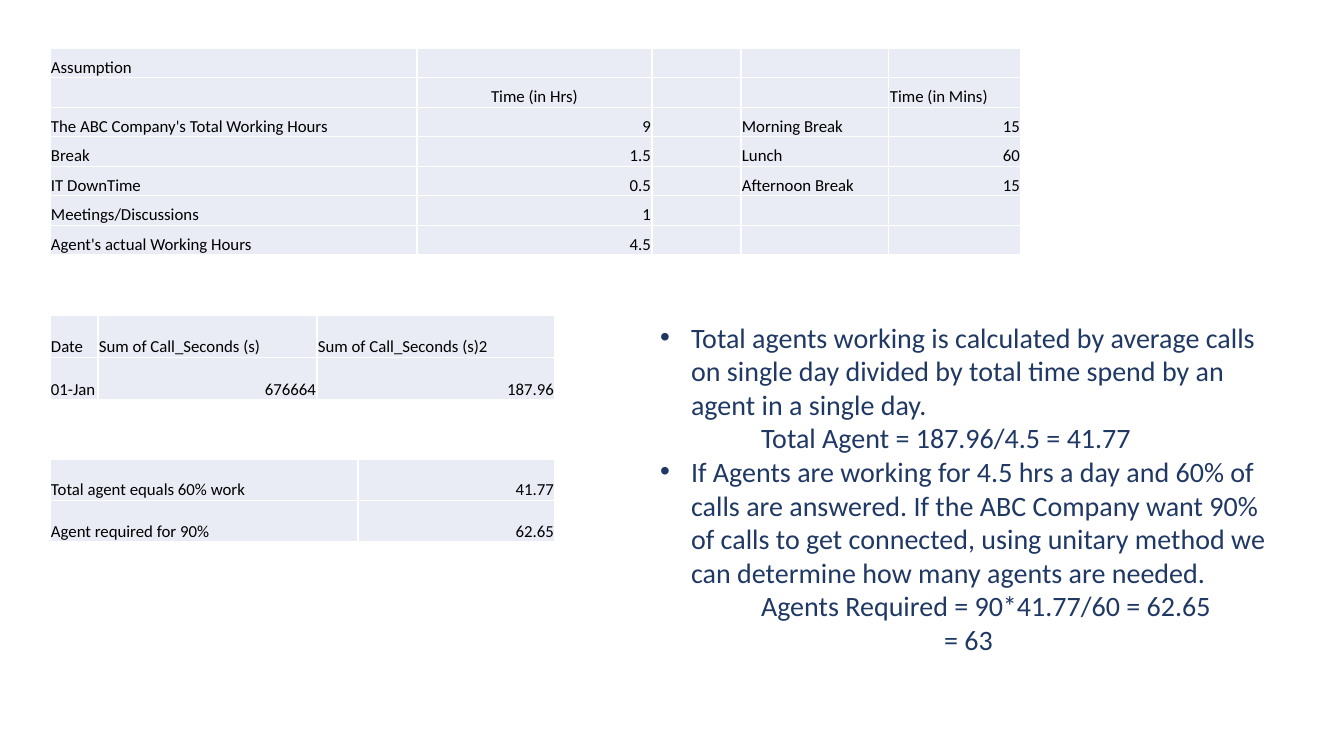
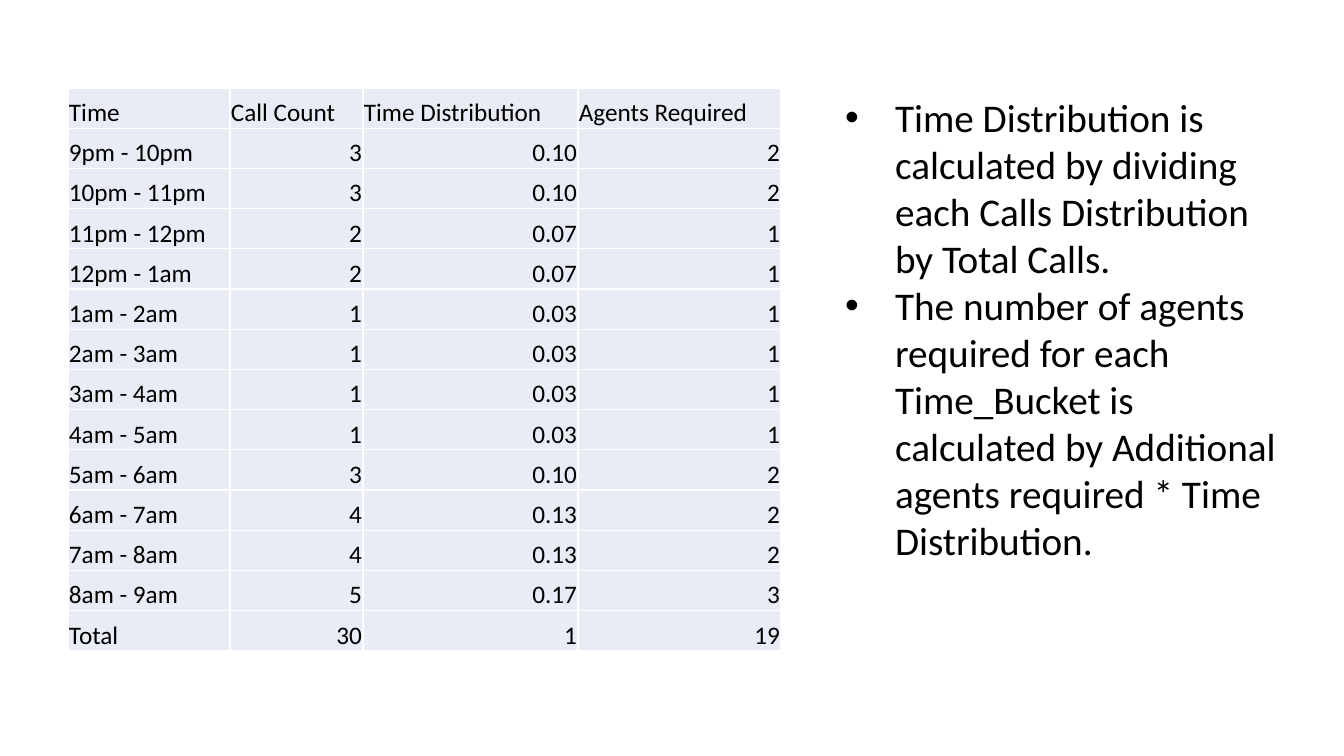
"""Build two slides on agent staffing."""
from itertools import pairwise

from lxml import etree
from pptx import Presentation
from pptx.dml.color import RGBColor
from pptx.enum import text
from pptx.oxml import ns
from pptx.util import Emu, Pt

SCALE = 914400 / 100.8
BLACK = RGBColor(0x00, 0x00, 0x00)
NAVY = RGBColor(0x20, 0x38, 0x64)
PALE = RGBColor(0xE9, 0xEB, 0xF5)
FONT = "Calibri"
LEFT, MID, RIGHT = text.PP_ALIGN.LEFT, text.PP_ALIGN.CENTER, text.PP_ALIGN.RIGHT


def px(num):
    """Turn pixels into EMU."""
    return Emu(round(num * SCALE))


def put(item, vals):
    """Set each attribute in vals on item."""
    for key, val in vals.items():
        setattr(item, key, val)


class Deck:
    """Hold the style and the current slide."""

    CELL = {"margin_left": px(1), "margin_right": px(1), "margin_top": px(1),
            "margin_bottom": 0, "vertical_anchor": text.MSO_ANCHOR.BOTTOM}
    GRID = {"first_row": False, "horz_banding": False}
    FRAME = {"word_wrap": True, "auto_size": text.MSO_AUTO_SIZE.NONE,
             "vertical_anchor": text.MSO_ANCHOR.TOP}
    PARA = {"space_before": Pt(0), "space_after": Pt(0), "line_spacing": 1.0,
            "alignment": LEFT}

    def __init__(self):
        """Start a wide deck."""
        self.prs = Presentation()
        put(self.prs, {"slide_width": px(1344), "slide_height": px(756)})
        self.slide = None

    def page(self):
        """Add a slide that has a body but no title."""
        self.slide = self.prs.slides.add_slide(self.prs.slide_layouts[1])
        title = self.slide.shapes.title.element
        title.getparent().remove(title)

    def say(self, para, words, size, color):
        """Add one styled run to a paragraph."""
        run = para.add_run()
        run.text = words
        put(run.font, {"name": FONT, "size": Pt(size)})
        run.font.color.rgb = color

    def table(self, box, cols, rows, size, center=()):
        """Add a table with even rows; numbers align right."""
        left, top, high = box
        grid = self.slide.shapes.add_table(
            len(rows), len(cols), px(left), px(top), px(sum(cols)), px(high)).table
        put(grid, self.GRID)
        for col, wide in zip(grid.columns, cols):
            col.width = px(wide)
        for row, words in zip(grid.rows, rows):
            row.height = px(high / len(rows))
            for cell, word in zip(row.cells, words):
                self.fill(cell, word, size, word in center)

    def fill(self, cell, word, size, center):
        """Style a cell and set its word."""
        put(cell, self.CELL)
        cell.fill.solid()
        cell.fill.fore_color.rgb = PALE
        para = cell.text_frame.paragraphs[0]
        if word:
            number = word.replace(".", "").isdigit()
            para.alignment = MID if center else RIGHT if number else LEFT
            self.say(para, word, size, BLACK)
        else:
            end = etree.SubElement(para._p, ns.qn("a:endParaRPr"))
            end.set("sz", str(size * 100))

    def notes(self, box, lines, size, color, hang):
        """Fill the body: (indent, words) lines, bulleted at indent 0."""
        body = self.slide.placeholders[1]
        put(body, dict(zip(("left", "top", "width", "height"), map(px, box))))
        frame = body.text_frame
        put(frame, self.FRAME)
        for num, (indent, words) in enumerate(lines):
            para = frame.add_paragraph() if num else frame.paragraphs[0]
            put(para, self.PARA)
            props = para._p.get_or_add_pPr()
            props.set("marL", str(px(indent or hang)))
            props.set("indent", str(0 if indent else px(-hang)))
            if indent:
                etree.SubElement(props, ns.qn("a:buNone"))
            else:
                etree.SubElement(props, ns.qn("a:buFont")).set("typeface", "Arial")
                etree.SubElement(props, ns.qn("a:buChar")).set("char", "•")
            self.say(para, words, size, color)


def staff(deck):
    """Show the working hours and the agents needed."""
    deck.page()
    deck.table((50, 48, 207), (367, 235, 89, 148, 132), [
        ("Assumption", "", "", "", ""),
        ("", "Time (in Hrs)", "", "", "Time (in Mins)"),
        ("The ABC Company's Total Working Hours", "9", "", "Morning Break", "15"),
        ("Break", "1.5", "", "Lunch", "60"),
        ("IT DownTime", "0.5", "", "Afternoon Break", "15"),
        ("Meetings/Discussions", "1", "", "", ""),
        ("Agent's actual Working Hours", "4.5", "", "", ""),
    ], 12, center=("Time (in Hrs)",))
    deck.table((50, 315, 85), (48, 219, 238), [
        ("Date", "Sum of Call_Seconds (s)", "Sum of Call_Seconds (s)2"),
        ("01-Jan", "676664", "187.96"),
    ], 12)
    deck.table((50, 459, 83), (308, 197), [
        ("Total agent equals 60% work", "41.77"),
        ("Agent required for 90%", "62.65"),
    ], 12)
    deck.notes((650, 315, 636, 350), [
        (0, "Total agents working is calculated by average calls on single day "
            "divided by total time spend by an agent in a single day."),
        (101, "Total Agent = 187.96/4.5 = 41.77"),
        (0, "If Agents are working for 4.5 hrs a day and 60% of calls are answered. "
            "If the ABC Company want 90% of calls to get connected, using unitary "
            "method we can determine how many agents are needed."),
        (101, "Agents Required = 90*41.77/60 = 62.65"),
        (284, "= 63"),
    ], 20, NAVY, 31)


def shifts(deck):
    """Show the agents needed in each hour of the night."""
    deck.page()
    hours = ["9pm", "10pm", "11pm", "12pm"] + [f"{hour}am" for hour in range(1, 10)]
    calls = (3, 3, 2, 2, 1, 1, 1, 1, 3, 4, 4, 5)
    agents = (2, 2, 1, 1, 1, 1, 1, 1, 2, 2, 2, 3)
    total = sum(calls)
    rows = [(f"{start} - {end}", str(call), f"{call / total:.2f}", str(agent))
            for (start, end), call, agent in zip(pairwise(hours), calls, agents)]
    head = ("Time", "Call Count", "Time Distribution", "Agents Required")
    foot = ("Total", str(total), "1", str(sum(agents)))
    deck.table((68, 88, 563), (162, 133, 215, 203), [head, *rows, foot], 18)
    deck.notes((835, 88, 453, 485), [
        (0, "Time Distribution is calculated by dividing each Calls Distribution "
            "by Total Calls."),
        (0, "The number of agents required for each Time_Bucket is calculated by "
            "Additional agents required * Time Distribution."),
    ], 28, BLACK, 50)


deck = Deck()
staff(deck)
shifts(deck)
deck.prs.save("out.pptx")
